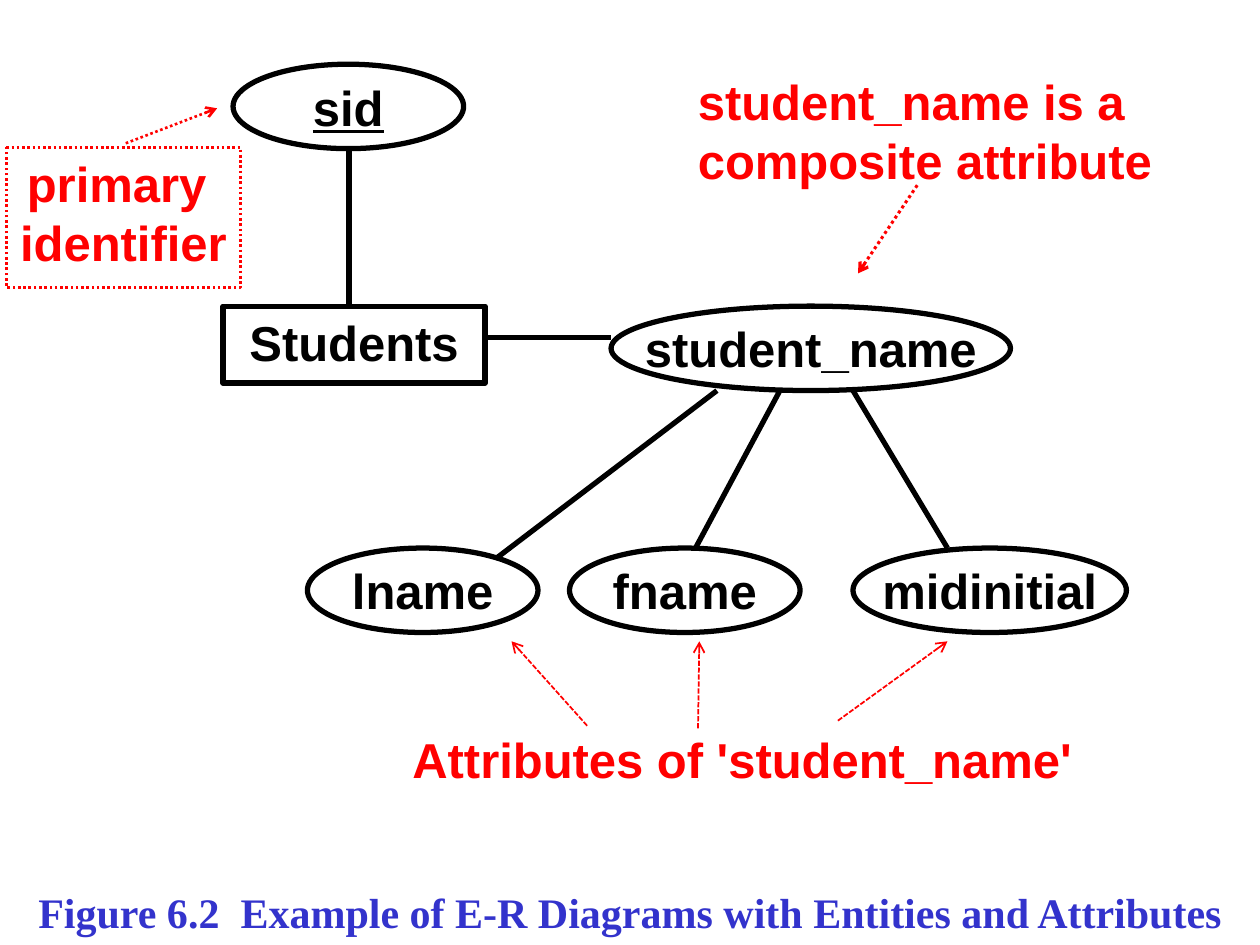
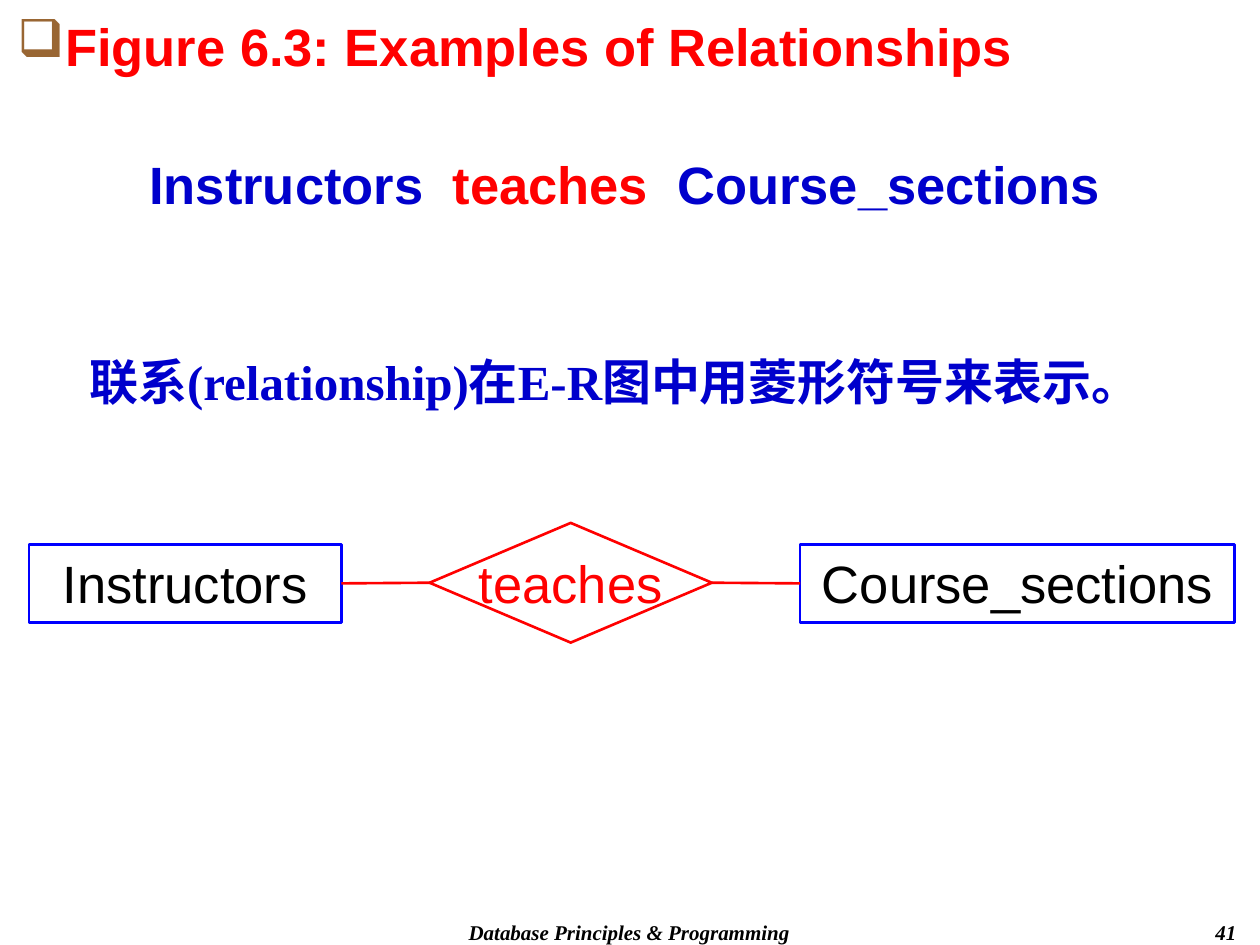
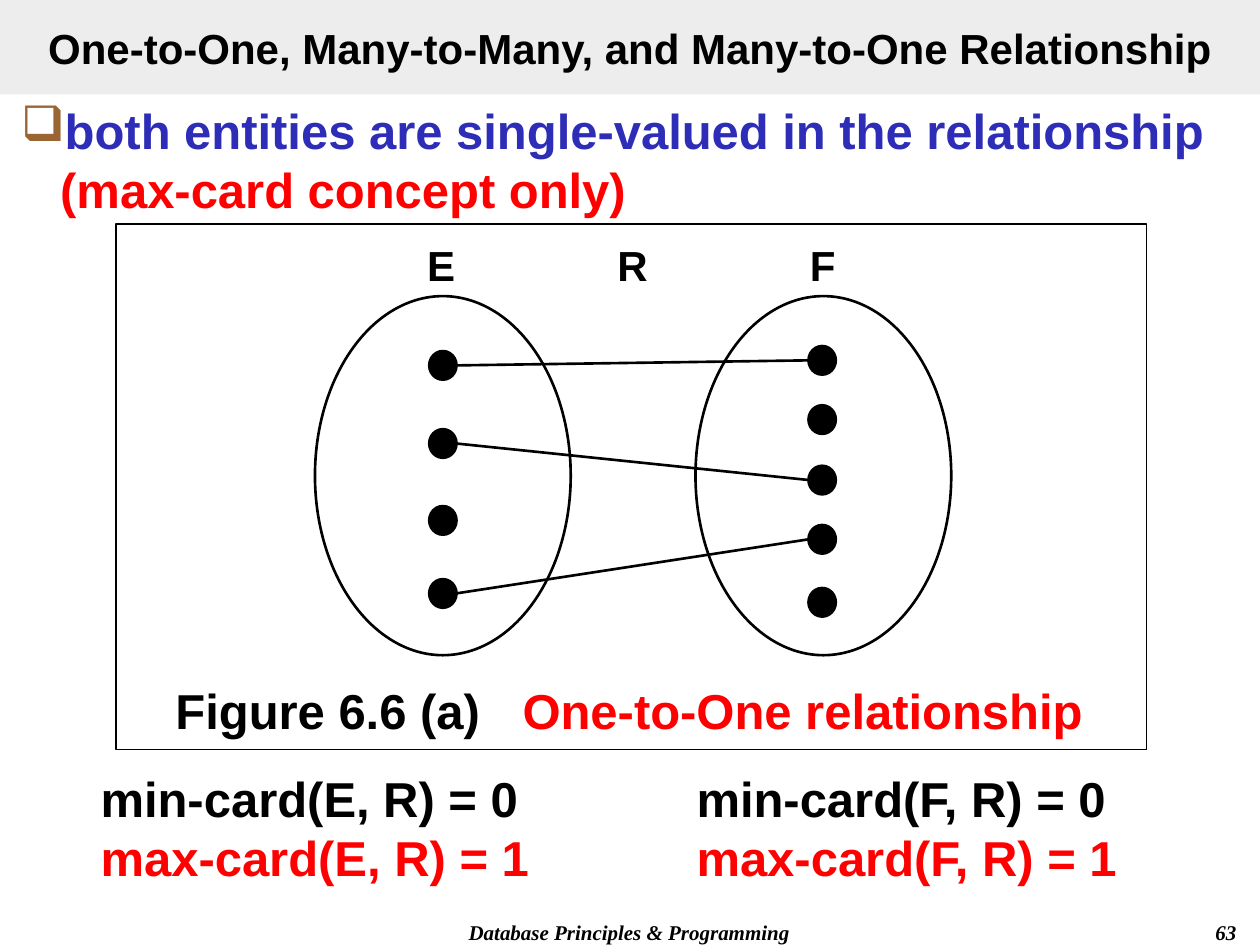
from dataclasses import dataclass
from typing import NamedTuple, Optional

from lxml import etree
from pptx import Presentation
from pptx import util as u
from pptx.dml.color import RGBColor
from pptx.enum import dml, shapes, text
from pptx.oxml.ns import qn

SCALE = 9144
KIND, ALIGN = shapes.MSO_SHAPE, text.PP_ALIGN
DOT, DASH = dml.MSO_LINE.ROUND_DOT, dml.MSO_LINE.SQUARE_DOT


@dataclass(frozen=True)
class Theme:
    """Colours, fonts and type sizes shared by the slides."""
    black: str = "000000"
    white: str = "FFFFFF"
    red: str = "FF0000"
    blue: str = "0000FF"
    navy: str = "0000CC"
    caption: str = "3333CC"
    lead: str = "2D2DB7"
    bullet: str = "996633"
    band: str = "DDDDDD"
    sans: str = "Arial"
    serif: str = "Times New Roman"
    footer: int = 12
    small: int = 24
    body: int = 28
    large: int = 30


T = Theme()


class Run(NamedTuple):
    """Text in one colour."""
    words: str
    color: str = T.black


class Para(NamedTuple):
    """Runs of one paragraph with its own alignment and space before."""
    runs: tuple
    align: Optional[ALIGN] = ALIGN.CENTER
    before: int = 0
    bullet: bool = False


class Stroke(NamedTuple):
    """Outline colour, width in points and dash."""
    color: str = T.black
    width: float = 1.5
    dash: Optional[dml.MSO_LINE] = None


class Link(NamedTuple):
    """Straight line between two points."""
    x1: int
    y1: int
    x2: int
    y2: int
    stroke: Stroke = Stroke()
    arrow: bool = False


@dataclass(frozen=True)
class Box:
    """Shape, or text box when kind is None."""
    left: int
    top: int
    width: int
    height: int
    paras: tuple = ()
    kind: Optional[KIND] = None
    fill: Optional[str] = None
    alpha: int = 100
    stroke: Optional[Stroke] = None
    size: int = T.body
    font: str = T.sans
    bold: bool = True
    italic: bool = False
    underline: bool = False
    middle: bool = False
    wrap: bool = True
    hang: tuple = ()
    adjust: tuple = ()


def px(n: int) -> int:
    """Turn px into EMU."""
    return n * SCALE


def rgb(color: str) -> RGBColor:
    """Read a hex colour."""
    return RGBColor.from_string(color)


def sub(parent, tag: str, **attrs: str):
    """Append a DrawingML element."""
    return etree.SubElement(parent, qn(f"a:{tag}"), attrs)


def set_all(target, values: dict) -> None:
    """Set attributes from a dict."""
    for name, value in values.items():
        setattr(target, name, value)


def line(words: str, color: str = T.black, align: ALIGN = ALIGN.CENTER) -> Para:
    """Make a paragraph of one run."""
    return Para((Run(words, color),), align)


def draw_stroke(ln, stroke: Stroke) -> None:
    """Format an outline."""
    ln.color.rgb = rgb(stroke.color)
    ln.width = u.Pt(stroke.width)
    if stroke.dash:
        ln.dash_style = stroke.dash


def draw_text(sp, box: Box) -> None:
    """Write the paragraphs of a box."""
    tf = sp.text_frame
    anchor = text.MSO_ANCHOR.MIDDLE if box.middle else text.MSO_ANCHOR.TOP
    set_all(tf, {"word_wrap": box.wrap, "vertical_anchor": anchor})
    for i, para in enumerate(box.paras):
        p = tf.add_paragraph() if i else tf.paragraphs[0]
        set_all(p, {"alignment": para.align, "space_before": u.Pt(para.before)})
        pr = p._p.get_or_add_pPr()
        if box.hang:
            pr.set("marL", str(px(box.hang[0])))
            pr.set("indent", str(px(box.hang[1])))
        if para.bullet:
            sub(sub(pr, "buClr"), "srgbClr", val=T.bullet)
            sub(pr, "buChar", char="❑")
        for run in para.runs:
            r = p.add_run()
            r.text = run.words
            set_all(r.font, {"size": u.Pt(box.size), "name": box.font, "bold": box.bold,
                             "italic": box.italic, "underline": box.underline})
            r.font.color.rgb = rgb(run.color)


def draw_box(s, box: Box):
    """Draw a box with its fill, outline and text."""
    place = [px(n) for n in (box.left, box.top, box.width, box.height)]
    if box.kind is None:
        sp = s.shapes.add_textbox(*place)
    else:
        sp = s.shapes.add_shape(box.kind, *place)
        sp.shadow.inherit = False
        for i, value in enumerate(box.adjust):
            sp.adjustments[i] = value
        if box.fill:
            sp.fill.solid()
            sp.fill.fore_color.rgb = rgb(box.fill)
            if box.alpha < 100:
                clr = sp._element.spPr.find(qn("a:solidFill"))[0]
                sub(clr, "alpha", val=str(box.alpha * 1000))
        else:
            sp.fill.background()
        if box.stroke:
            draw_stroke(sp.line, box.stroke)
        else:
            sp.line.fill.background()
    draw_text(sp, box)
    return sp


def draw_link(s, link: Link):
    """Draw a line, with an arrowhead at its end if asked."""
    ends = [px(n) for n in link[:4]]
    cx = s.shapes.add_connector(shapes.MSO_CONNECTOR.STRAIGHT, *ends)
    draw_stroke(cx.line, link.stroke)
    if link.arrow:
        sub(cx.line._get_or_add_ln(), "tailEnd", type="arrow")
    sub(cx._element.spPr, "effectLst")
    return cx


def draw_footer(s, number: int) -> None:
    """Write the course name and the page number."""
    style = {"size": T.footer, "font": T.serif, "italic": True}
    draw_box(s, Box(283, 725, 433, 25, (line("Database Principles & Programming"),), **style))
    draw_box(s, Box(783, 725, 208, 25, (line(str(number), align=ALIGN.RIGHT),), **style))


def attributes_slide(s) -> None:
    """Entity with plain and composite attributes."""
    heavy = Stroke(width=3)
    draw_box(s, Box(177, 243, 208, 61, (line("Students"),), KIND.RECTANGLE, stroke=heavy))
    for name, left, top, width in (("sid", 185, 51, 183), ("student_name", 485, 243, 317),
                                   ("lname", 244, 435, 183), ("fname", 452, 435, 183),
                                   ("midinitial", 677, 435, 217)):
        draw_box(s, Box(left, top, width, 67, (line(name),), KIND.OVAL, stroke=heavy,
                        underline=name == "sid", middle=True, wrap=False))
    for ends in ((277, 118, 277, 243), (485, 268, 385, 268), (569, 310, 394, 443),
                 (619, 310, 552, 435), (677, 310, 752, 435)):
        draw_link(s, Link(*ends, heavy))

    callout = draw_box(s, Box(5, 117, 186, 111,
                              (line("primary ", T.red), line("identifier", T.red)),
                              KIND.LINE_CALLOUT_1, stroke=Stroke(T.red, 1.5, DOT),
                              adjust=(-0.03, 0.51, -0.28, 0.9)))
    sub(callout.line._get_or_add_ln(), "tailEnd", type="arrow")
    draw_box(s, Box(276, 574, 626, 57, (line("Attributes of 'student_name'", T.red),),
                    KIND.RECTANGLE, T.white))
    for ends in ((665, 572, 752, 509), (554, 578, 555, 509), (466, 576, 406, 509)):
        draw_link(s, Link(*ends, Stroke(T.red, 1, DASH), True))
    title = "Figure 6.2  Example of E-R Diagrams with Entities and Attributes"
    draw_box(s, Box(4, 699, 992, 50, (line(title, T.caption),), KIND.RECTANGLE, T.white,
                    size=T.small, font=T.serif))
    draw_box(s, Box(544, 52, 444, 103,
                    (line("student_name is a composite attribute", T.red, ALIGN.LEFT),)))
    draw_link(s, Link(728, 147, 681, 217, Stroke(T.red, 1.75, DOT), True))


def relationship_slide(s) -> None:
    """Two entities joined by a relationship."""
    draw_footer(s, 41)
    heading = Para((Run("Figure 6.3: Examples of Relationships", T.red),), ALIGN.LEFT,
                   bullet=True)
    sentence = Para((Run("Instructors  ", T.navy), Run("teaches  ", T.red),
                     Run("Course_sections", T.navy)), before=43)
    draw_box(s, Box(4, 6, 984, 740, (heading, sentence), size=T.large, hang=(38, -38)))

    plain = {"size": T.large, "bold": False}
    left, right = (draw_box(s, Box(x, 432, width, 62, (line(name),), KIND.RECTANGLE,
                                   stroke=Stroke(T.blue), **plain))
                   for name, x, width in (("Instructors", 23, 248),
                                          ("Course_sections", 635, 345)))
    diamond = draw_box(s, Box(341, 415, 224, 95, (line("teaches", T.red),), KIND.DIAMOND,
                              T.white, stroke=Stroke(T.red), middle=True, wrap=False, **plain))
    for start, end, x1, x2 in ((left, diamond, 271, 341), (diamond, right, 565, 635)):
        cx = draw_link(s, Link(x1, 463, x2, 463, Stroke(T.red)))
        cx.begin_connect(start, 3)
        cx.end_connect(end, 1)
    draw_box(s, Box(61, 274, 858, 57,
                    (line("联系(relationship)在E-R图中用菱形符号来表示。", T.navy, ALIGN.LEFT),),
                    font=T.serif, wrap=False))


def cardinality_slide(s) -> None:
    """One-to-one mapping between two sets."""
    draw_footer(s, 63)
    title = "One-to-One, Many-to-Many, and Many-to-One Relationship"
    draw_box(s, Box(0, 0, 1000, 75, (line(title),), KIND.RECTANGLE, T.band, 50,
                    size=T.small, middle=True))
    lead = Para((Run("both entities are single-valued in the relationship ", T.lead),
                 Run("(max-card concept only)", T.red)), ALIGN.LEFT, bullet=True)
    draw_box(s, Box(0, 75, 1000, 104, (lead,), hang=(38, -31)))

    dot_w, dot_h = 21, 22
    e_dots, f_dots = (279, 341, 402, 460), (275, 322, 370, 417, 467)
    e_left, f_left = 341, 642
    for oval_left, dot_left, tops in ((250, e_left, e_dots), (552, f_left, f_dots)):
        draw_box(s, Box(oval_left, 235, 203, 285, kind=KIND.OVAL, stroke=Stroke()))
        for top in tops:
            draw_box(s, Box(dot_left, top, dot_w, dot_h, kind=KIND.OVAL, fill=T.black,
                            stroke=Stroke(width=2)))
    for e, f in ((0, 0), (1, 2), (3, 3)):
        draw_link(s, Link(e_left + dot_w, e_dots[e] + dot_h // 2,
                          f_left, f_dots[f] + dot_h // 2))
    for name, left in (("E", 319), ("F", 622), ("R", 471)):
        draw_box(s, Box(left, 185, 62, 50, (line(name),), size=T.small))

    draw_box(s, Box(117, 535, 297, 57, (line("Figure 6.6 (a) "),), KIND.RECTANGLE, T.white))
    for name, left in (("E", 70), ("F", 543)):
        cards = (line(f"min-card({name}, R) = 0", align=ALIGN.JUSTIFY),
                 line(f"max-card({name}, R) = 1", T.red, ALIGN.JUSTIFY))
        draw_box(s, Box(left, 605, 384, 104, cards, KIND.RECTANGLE, T.white))
    draw_box(s, Box(92, 178, 818, 417, kind=KIND.RECTANGLE, stroke=Stroke(width=1)))
    draw_box(s, Box(395, 535, 484, 57, (line("One-to-One relationship", T.red),),
                    KIND.RECTANGLE, T.white))


def main() -> None:
    """Build and save the slides."""
    prs = Presentation()
    set_all(prs, {"slide_width": px(1000), "slide_height": px(750)})
    for build in (attributes_slide, relationship_slide, cardinality_slide):
        build(prs.slides.add_slide(prs.slide_layouts[6]))
    prs.save("out.pptx")


if __name__ == "__main__":
    main()
